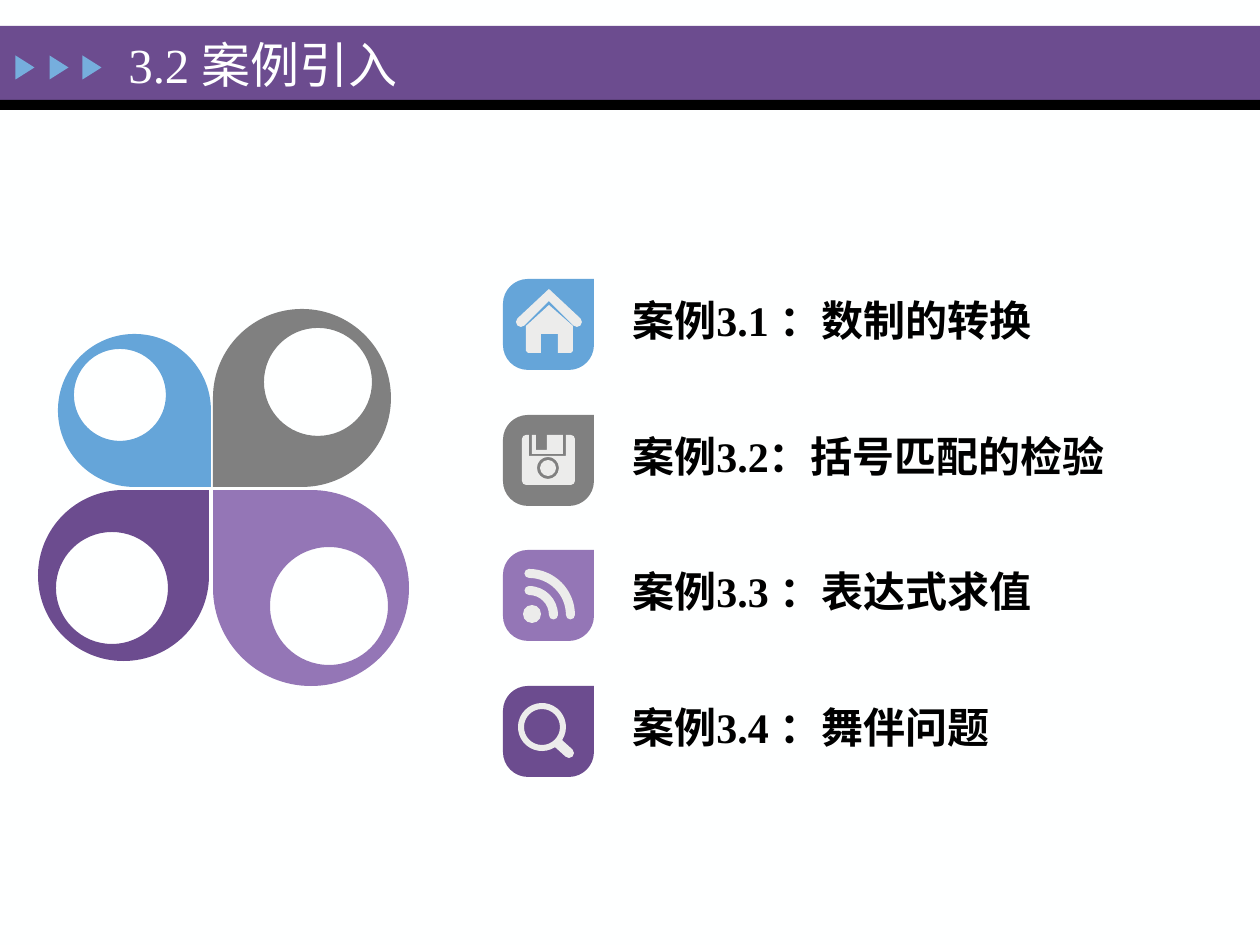
from dataclasses import dataclass
from math import ceil, cos, radians, sin, tan
from typing import Callable

from pptx import Presentation
from pptx.dml.color import RGBColor
from pptx.enum.shapes import MSO_SHAPE
from pptx.enum.text import MSO_ANCHOR, MSO_AUTO_SIZE
from pptx.oxml.ns import qn
from pptx.shapes.autoshape import Shape
from pptx.slide import Slide
from pptx.util import Emu, Pt

EMU_PER_PX = 914400 / 126
Point = tuple[float, float]
Step = tuple[Point, ...]
Contour = list[Step]


@dataclass(frozen=True)
class Theme:
    white: str = "FEFFFF"
    black: str = "000000"
    blue: str = "65A5D9"
    sky: str = "76AEDD"
    gray: str = "808080"
    lilac: str = "9476B6"
    purple: str = "6C4C8F"
    icon: str = "ECECEB"
    font: str = "Times New Roman"
    title_size: int = 28
    case_size: int = 24


THEME = Theme()


@dataclass(frozen=True)
class Box:
    left: int
    top: int
    width: int
    height: int


@dataclass(frozen=True)
class Petal:
    left: int
    top: int
    size: int
    sharp_corner: int
    hole_center: Point
    hole_radius: int
    color: str


@dataclass(frozen=True)
class Case:
    text: str
    color: str
    draw_icon: Callable[[Slide, int, int], None]


def px(length: float) -> Emu:
    return Emu(round(length * EMU_PER_PX))


def paint(shape: Shape, color: str) -> None:
    shape.shadow.inherit = False
    shape.fill.solid()
    shape.fill.fore_color.rgb = RGBColor.from_string(color)
    shape.line.fill.background()


def add_preset(slide: Slide, kind: MSO_SHAPE, box: Box, color: str, rotation: int = 0) -> None:
    shape = slide.shapes.add_shape(kind, px(box.left), px(box.top), px(box.width), px(box.height))
    shape.rotation = rotation
    paint(shape, color)


def straight(*points: Point) -> Contour:
    return [(point,) for point in points]


def arc(x: float, y: float, radius: float, start: int, end: int) -> Contour:
    pieces = ceil(abs(end - start) / 90)
    sweep = radians(end - start) / pieces
    pull = 4 / 3 * tan(sweep / 4)
    steps: Contour = [((x + radius * cos(radians(start)), y + radius * sin(radians(start))),)]
    for piece in range(pieces):
        a = radians(start) + piece * sweep
        b = a + sweep
        offsets = [(cos(a) - pull * sin(a), sin(a) + pull * cos(a)),
                   (cos(b) + pull * sin(b), sin(b) - pull * cos(b)), (cos(b), sin(b))]
        steps.append(tuple((x + radius * dx, y + radius * dy) for dx, dy in offsets))
    return steps


def leaf(size: int, radius: float, sharp_corner: int) -> Contour:
    far = size - radius
    centers = [(far, radius), (far, far), (radius, far), (radius, radius)]
    corners = [(size, 0), (size, size), (0, size), (0, 0)]
    steps: Contour = []
    for index, (x, y) in enumerate(centers):
        start = 90 * index - 90
        rounded = arc(x, y, radius, start, start + 90)
        steps += straight(corners[index]) if index == sharp_corner else rounded
    return steps


def add_outline(slide: Slide, left: int, top: int, color: str, *contours: Contour) -> None:
    builder = None
    drawn: Contour = []
    for contour in contours:
        placed = [tuple((px(left + x), px(top + y)) for x, y in step) for step in contour]
        start = placed[0][0]
        if builder is None:
            builder = slide.shapes.build_freeform(*start)
        else:
            builder.move_to(*start)
        steps = [step for before, step in zip(placed, placed[1:]) if step[-1] != before[-1]]
        builder.add_line_segments([point for step in steps for point in step], close=True)
        drawn += steps
    shape = builder.convert_to_shape()
    segments = iter(shape._element.findall(".//" + qn("a:lnTo")))
    for step in drawn:
        curve, *controls = [next(segments) for _ in step]
        if controls:
            curve.tag = qn("a:cubicBezTo")
        for control in controls:
            curve.append(control[0])
            control.getparent().remove(control)
    paint(shape, color)


def add_text(slide: Slide, box: Box, text: str, size: int, color: str, bold: bool = False) -> Shape:
    text_box = slide.shapes.add_textbox(px(box.left), px(box.top), px(box.width), px(box.height))
    frame = text_box.text_frame
    frame.word_wrap = True
    frame.text = text
    font = frame.paragraphs[0].runs[0].font
    font.name = THEME.font
    font.size = Pt(size)
    font.bold = bold
    font.color.rgb = RGBColor.from_string(color)
    return text_box


def draw_house(slide: Slide, left: int, top: int) -> None:
    roof = straight((46, 10)) + arc(74, 43, 5, -45, 135) + straight((46, 22)) + arc(18, 43, 5, 45, 225)
    walls = straight((23, 47), (23, 72), (25, 74), (38, 74), (38, 55), (55, 55),
                     (55, 74), (68, 74), (70, 72), (70, 47), (46, 26))
    for contour in (roof, walls):
        add_outline(slide, left, top, THEME.icon, contour)


def draw_disk(slide: Slide, left: int, top: int) -> None:
    shutter = straight((60, 20), (44, 20), (44, 35), (33, 35), (33, 20), (29, 20), (29, 39), (60, 39))
    case = (straight((63, 20), (63, 41), (26, 41), (26, 20)) + arc(23, 24, 4, 270, 180)
            + arc(23, 66, 4, 180, 90) + arc(68, 66, 4, 90, 0) + arc(68, 24, 4, 0, -90))
    add_outline(slide, left, top, THEME.icon, shutter)
    add_outline(slide, left, top, THEME.icon, case, arc(45, 53, 11, 0, 360))
    add_preset(slide, MSO_SHAPE.OVAL, Box(left + 37, top + 45, 16, 16), THEME.icon)


def draw_feed(slide: Slide, left: int, top: int) -> None:
    x, y, thickness = 26, 65, 9
    cap = thickness / 2
    add_preset(slide, MSO_SHAPE.OVAL, Box(left + 20, top + 55, 18, 18), THEME.icon)
    for outer in (29, 46):
        middle = outer - cap
        band = (arc(x, y, outer, -90, 0) + arc(x + middle, y, cap, 0, 180)
                + arc(x, y, outer - thickness, 0, -90) + arc(x, y - middle, cap, 90, 270))
        add_outline(slide, left, top, THEME.icon, band)


def draw_magnifier(slide: Slide, left: int, top: int) -> None:
    rim = arc(39, 41, 24, 57, 393) + arc(66, 67, 5, -45, 135)
    add_outline(slide, left, top, THEME.icon, rim, arc(39, 41, 18, 0, 360))


def draw_header(slide: Slide) -> None:
    add_preset(slide, MSO_SHAPE.RECTANGLE, Box(0, 26, 1260, 74), THEME.purple)
    add_preset(slide, MSO_SHAPE.RECTANGLE, Box(0, 100, 1260, 10), THEME.black)
    for left in (13, 47, 80):
        add_preset(slide, MSO_SHAPE.ISOSCELES_TRIANGLE, Box(left, 58, 24, 19), THEME.sky, 90)
    title = add_text(slide, Box(116, 32, 882, 63), "3.2 案例引入", THEME.title_size, THEME.white)
    title.text_frame.vertical_anchor = MSO_ANCHOR.MIDDLE


def draw_petal(slide: Slide, petal: Petal) -> None:
    body = leaf(petal.size, petal.size / 2, petal.sharp_corner)
    hole = arc(*petal.hole_center, petal.hole_radius, 0, 360)
    add_outline(slide, petal.left, petal.top, petal.color, body, hole)


def draw_case(slide: Slide, case: Case, left: int, top: int) -> None:
    add_outline(slide, left, top, case.color, leaf(91, 25, 0))
    case.draw_icon(slide, left, top)
    label = Box(left + 117, top + 9, 567, 64)
    text_box = add_text(slide, label, case.text, THEME.case_size, THEME.black, True)
    text_box.text_frame.auto_size = MSO_AUTO_SIZE.SHAPE_TO_FIT_TEXT


PETALS = [
    Petal(58, 334, 153, 1, (62, 61), 46, THEME.blue),
    Petal(38, 490, 171, 0, (74, 98), 56, THEME.purple),
    Petal(213, 309, 178, 2, (105, 73), 54, THEME.gray),
    Petal(213, 490, 196, 3, (116, 116), 59, THEME.lilac),
]
CASES = [
    Case("案例3.1 ：数制的转换", THEME.blue, draw_house),
    Case("案例3.2：括号匹配的检验", THEME.gray, draw_disk),
    Case("案例3.3 ：表达式求值", THEME.lilac, draw_feed),
    Case("案例3.4 ：舞伴问题", THEME.purple, draw_magnifier),
]


def main() -> None:
    deck = Presentation()
    deck.slide_width, deck.slide_height = px(1260), px(945)
    page = deck.slides.add_slide(deck.slide_layouts[6])
    page.background.fill.solid()
    page.background.fill.fore_color.rgb = RGBColor.from_string(THEME.white)
    draw_header(page)
    for petal in PETALS:
        draw_petal(page, petal)
    first_top, last_top = 279, 686
    pitch = (last_top - first_top) / (len(CASES) - 1)
    for index, case in enumerate(CASES):
        draw_case(page, case, 503, round(first_top + index * pitch))
    deck.save("out.pptx")


if __name__ == "__main__":
    main()
